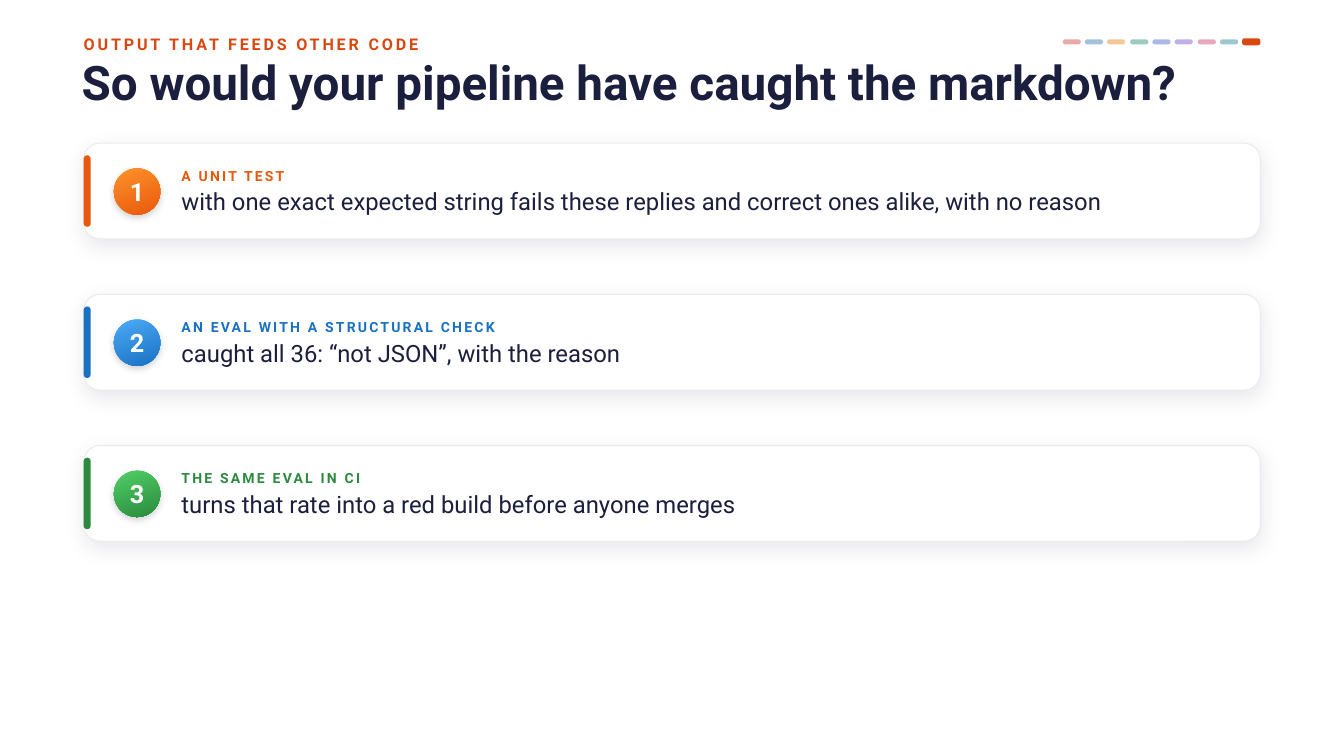
"""Build the slide that compares three ways to catch markdown replies."""
from lxml import etree
from pptx import Presentation
from pptx import util as u
from pptx.dml.color import RGBColor
from pptx.enum import shapes, text
from pptx.oxml import ns

PX = 9144
FONT = "Roboto"
INK = RGBColor(0x1B, 0x1E, 0x3C)
WHITE = RGBColor(0xFF, 0xFF, 0xFF)
BORDER = RGBColor(0xE9, 0xEC, 0xEF)
ACCENT = RGBColor(0xD9, 0x48, 0x0F)
ORANGE, ORANGE_LIGHT = RGBColor(0xE8, 0x59, 0x0C), RGBColor(0xFF, 0x92, 0x2B)
BLUE, BLUE_LIGHT = RGBColor(0x19, 0x71, 0xC2), RGBColor(0x4D, 0xAB, 0xF7)
GREEN, GREEN_LIGHT = RGBColor(0x2B, 0x8A, 0x3E), RGBColor(0x51, 0xCF, 0x66)
SECTION_COLORS = [
    RGBColor(0xC9, 0x2A, 0x2A), RGBColor(0x18, 0x64, 0xAB),
    RGBColor(0xE6, 0x77, 0x00), RGBColor(0x08, 0x7F, 0x5B),
    RGBColor(0x36, 0x4F, 0xC7), RGBColor(0x5F, 0x3D, 0xC4),
    RGBColor(0xC2, 0x25, 0x5C), RGBColor(0x0B, 0x72, 0x85),
]
CARDS = [
    ("A UNIT TEST",
     "with one exact expected string fails these replies and correct ones alike, with no reason",
     ORANGE, ORANGE_LIGHT),
    ("AN EVAL WITH A STRUCTURAL CHECK",
     "caught all 36: “not JSON”, with the reason", BLUE, BLUE_LIGHT),
    ("THE SAME EVAL IN CI",
     "turns that rate into a red build before anyone merges", GREEN, GREEN_LIGHT),
]
CARD_TOP, CARD_PITCH = 142, 150
PIP_LEFT, PIP_SPAN = 1054, 178


def px(*lengths):
    """Turn pixel lengths into EMU."""
    return [u.Emu(length * PX) for length in lengths]


def add_run(paragraph, words, size, color, bold=False, spacing=0):
    """Add one formatted run, with letter spacing in points."""
    run = paragraph.add_run()
    run.text = words
    run.font.name = FONT
    run.font.size = u.Pt(size)
    run.font.bold = bold
    run.font.color.rgb = color
    if spacing:
        run.font._element.set("spc", str(round(spacing * 100)))


def prepare_frame(shape):
    """Clear the insets, centre the text vertically and return the first paragraph."""
    frame = shape.text_frame
    frame.margin_left = frame.margin_top = frame.margin_right = frame.margin_bottom = 0
    frame.vertical_anchor = text.MSO_ANCHOR.MIDDLE
    frame.auto_size = text.MSO_AUTO_SIZE.NONE
    frame.word_wrap = True
    return frame.paragraphs[0]


def add_block(slide, kind, box, color=None, radius=None):
    """Add a borderless shape without a shadow."""
    shape = slide.shapes.add_shape(kind, *px(*box))
    shape.shadow.inherit = False
    shape.line.fill.background()
    if color is not None:
        shape.fill.solid()
        shape.fill.fore_color.rgb = color
    if radius is not None:
        shape.adjustments[0] = radius
    return shape


def add_alpha(color_element, percent):
    """Make a colour element partly transparent."""
    etree.SubElement(color_element, ns.qn("a:alpha"), val=str(percent * 1000))


def add_shadow(shape, percent, blur, distance):
    """Give a shape a soft shadow that falls straight down."""
    effects = shape._element.spPr.find(ns.qn("a:effectLst"))
    shadow = etree.SubElement(
        effects, ns.qn("a:outerShdw"), blurRad=str(u.Pt(blur)), dist=str(u.Pt(distance)),
        dir="5400000", algn="ctr", rotWithShape="0")
    add_alpha(etree.SubElement(shadow, ns.qn("a:srgbClr"), val=str(INK)), percent)


def add_title(slide):
    """Fill the title placeholder and add the line above it."""
    title = slide.shapes.title
    title.left, title.top, title.width, title.height = px(81, 54, 1169, 60)
    paragraph = prepare_frame(title)
    paragraph.alignment = text.PP_ALIGN.LEFT
    paragraph.line_spacing = 0.9
    add_run(paragraph, "So would your pipeline have caught the markdown?", 34, INK, True)
    eyebrow = slide.shapes.add_textbox(*px(83, 32, 903, 24))
    add_run(prepare_frame(eyebrow), "OUTPUT THAT FEEDS OTHER CODE", 11.5, ACCENT, True, 2)


def add_progress(slide):
    """Add one faded pip per past section and a solid one for the current section."""
    rounded = shapes.MSO_SHAPE.ROUNDED_RECTANGLE
    count = len(SECTION_COLORS)
    for index, color in enumerate(SECTION_COLORS):
        left = PIP_LEFT + round(index * PIP_SPAN / count)
        pip = add_block(slide, rounded, (left, 39, 18, 5), color, 0.5)
        add_alpha(pip._element.spPr.find(".//" + ns.qn("a:srgbClr")), 40)
    add_block(slide, rounded, (PIP_LEFT + PIP_SPAN, 38, 18, 7), ACCENT, 0.35)


def add_badge(slide, top, number, color, light):
    """Add a numbered circle with a gradient."""
    badge = add_block(slide, shapes.MSO_SHAPE.OVAL, (113, top, 46, 46))
    badge.fill.gradient()
    badge.fill.gradient_angle = 290
    for stop, stop_color in zip(badge.fill.gradient_stops, (light, color)):
        stop.color.rgb = stop_color
    add_shadow(badge, 20, 5, 2)
    paragraph = prepare_frame(badge)
    paragraph.alignment = text.PP_ALIGN.CENTER
    add_run(paragraph, str(number), 18, WHITE, True)


def add_card(slide, top, number, label, body, color, light):
    """Add a card with a colour bar, a badge, a label and a sentence."""
    rounded = shapes.MSO_SHAPE.ROUNDED_RECTANGLE
    card = add_block(slide, rounded, (83, top, 1167, 95), WHITE, 0.17)
    card.line.color.rgb = BORDER
    card.line.width = u.Pt(0.75)
    add_shadow(card, 10, 14, 4)
    add_block(slide, rounded, (83, top + 12, 7, 71), color, 0.5)
    add_badge(slide, top + 25, number, color, light)
    box = slide.shapes.add_textbox(*px(180, top + 8, 1050, 80))
    add_run(prepare_frame(box), label, 10, color, True, 1.6)
    sentence = box.text_frame.add_paragraph()
    sentence.space_before = u.Pt(2)
    add_run(sentence, body, 17, INK)


def main():
    """Build and save the presentation."""
    presentation = Presentation()
    presentation.slide_width, presentation.slide_height = px(1333, 750)
    slide = presentation.slides.add_slide(presentation.slide_layouts.get_by_name("Title Only"))
    add_title(slide)
    add_progress(slide)
    for index, card in enumerate(CARDS):
        add_card(slide, CARD_TOP + index * CARD_PITCH, index + 1, *card)
    presentation.save("out.pptx")


if __name__ == "__main__":
    main()
